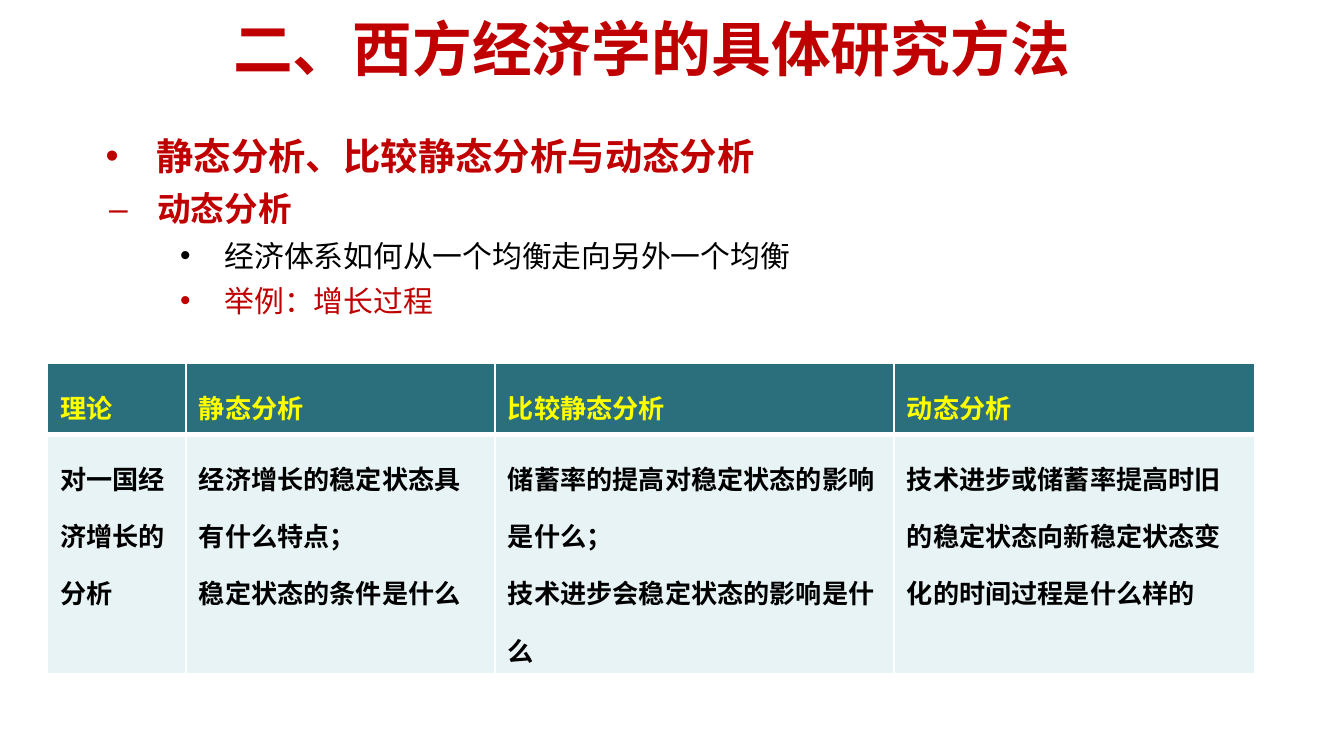
from dataclasses import dataclass

from lxml import etree
from pptx import Presentation
from pptx.dml.color import RGBColor
from pptx.enum.text import MSO_ANCHOR, MSO_AUTO_SIZE, PP_ALIGN
from pptx.oxml.ns import qn
from pptx.util import Cm, Pt

CENTER = PP_ALIGN.CENTER
MIDDLE = MSO_ANCHOR.MIDDLE
NO_AUTOFIT = MSO_AUTO_SIZE.NONE

RED = RGBColor(0xC0, 0x00, 0x00)
BLACK = RGBColor(0x00, 0x00, 0x00)
YELLOW = RGBColor(0xFF, 0xFF, 0x00)
WHITE = RGBColor(0xFF, 0xFF, 0xFF)
TEAL = RGBColor(0x2B, 0x6F, 0x7D)
PALE = RGBColor(0xE7, 0xF3, 0xF4)

CJK_FONT = "Noto Sans CJK SC"


@dataclass
class Bullet:
    text: str
    level: int
    size: int
    color: RGBColor
    bold: bool


@dataclass
class RowStyle:
    height: float
    fill: RGBColor
    color: RGBColor
    top_line: int
    bottom_line: int


BULLETS = [
    Bullet("静态分析、比较静态分析与动态分析", 0, 20, RED, True),
    Bullet("动态分析", 1, 18, RED, True),
    Bullet("经济体系如何从一个均衡走向另外一个均衡", 2, 16, BLACK, False),
    Bullet("举例：增长过程", 2, 16, RED, False),
]
# Left margin and hanging indent of each level, in cm
INDENTS = [(1.2, -0.96), (1.22, -0.91), (2.49, -0.84)]

COLUMN_WIDTHS = [2.62, 5.84, 7.54, 6.83]
ROW_STYLES = [
    RowStyle(1.35, TEAL, YELLOW, 1, 3),
    RowStyle(4.04, PALE, BLACK, 3, 1),
]
ROWS = [
    ["理论", "静态分析", "比较静态分析", "动态分析"],
    [
        "对一国经济增长的分析",
        "经济增长的稳定状态具有什么特点；\n稳定状态的条件是什么",
        "储蓄率的提高对稳定状态的影响是什么；\n技术进步会稳定状态的影响是什么",
        "技术进步或储蓄率提高时旧的稳定状态向新稳定状态变化的时间过程是什么样的",
    ],
]


def place(sp, left: float, top: float, width: float, height: float) -> None:
    sp.left, sp.top, sp.width, sp.height = map(Cm, (left, top, width, height))


def add_run(p, text: str, **formats) -> None:
    r = p.add_run()
    r.text = text
    color = formats.pop("color")
    for name, value in formats.items():
        setattr(r.font, name, value)
    r.font.color.rgb = color
    etree.SubElement(r.font._element, qn("a:ea"), typeface=CJK_FONT)


def fill_title(sp) -> None:
    place(sp, 0.89, 0, 22.86, 1.8)
    tf = sp.text_frame
    tf.auto_size, tf.vertical_anchor = NO_AUTOFIT, MIDDLE
    p = tf.paragraphs[0]
    p.alignment = CENTER
    add_run(p, "二、西方经济学的具体研究方法",
            size=Pt(32), name=CJK_FONT, bold=True, color=RED)


def fill_body(sp) -> None:
    place(sp, 1.5, 2.13, 22.86, 9.96)
    tf = sp.text_frame
    tf.auto_size = NO_AUTOFIT
    tf.margin_top = Cm(0.18)
    for i, item in enumerate(BULLETS):
        p = tf.add_paragraph() if i else tf.paragraphs[0]
        p.level, p.line_spacing, p.space_before = item.level, 1.25, Pt(0)
        margin, indent = INDENTS[item.level]
        pPr = p._p.get_or_add_pPr()
        pPr.set("marL", str(Cm(margin)))
        pPr.set("indent", str(Cm(indent)))
        add_run(p, item.text, size=Pt(item.size), name="Calibri",
                bold=item.bold, color=item.color)


def set_borders(cell, widths: dict[str, int]) -> None:
    tcPr = cell._tc.get_or_add_tcPr()
    for side, width in widths.items():
        ln = etree.SubElement(tcPr, qn(f"a:ln{side}"), w=str(Pt(width)))
        fill = etree.SubElement(ln, qn("a:solidFill"))
        etree.SubElement(fill, qn("a:srgbClr"), val=str(WHITE))


def fill_cell(cell, text: str, style: RowStyle) -> None:
    set_borders(cell, {"L": 1, "R": 1, "T": style.top_line, "B": style.bottom_line})
    cell.fill.solid()
    cell.fill.fore_color.rgb = style.fill
    cell.margin_left = cell.margin_right = Cm(0.25)
    cell.margin_top = cell.margin_bottom = Cm(0.1)
    tf = cell.text_frame
    for i, line in enumerate(text.split("\n")):
        p = tf.add_paragraph() if i else tf.paragraphs[0]
        p.line_spacing = 1.5
        add_run(p, line, size=Pt(14), name="Arial", bold=True, color=style.color)


def add_comparison_table(s) -> None:
    width, height = sum(COLUMN_WIDTHS), sum(style.height for style in ROW_STYLES)
    table = s.shapes.add_table(len(ROWS), len(COLUMN_WIDTHS), Cm(0.89), Cm(6.86),
                               Cm(width), Cm(height)).table
    for column, column_width in zip(table.columns, COLUMN_WIDTHS):
        column.width = Cm(column_width)
    for row, style, texts in zip(table.rows, ROW_STYLES, ROWS):
        row.height = Cm(style.height)
        for cell, text in zip(row.cells, texts):
            fill_cell(cell, text, style)


def main() -> None:
    prs = Presentation()
    prs.slide_width, prs.slide_height = Cm(25.4), Cm(14.28)
    s = prs.slides.add_slide(prs.slide_layouts[1])
    fill_title(s.shapes.title)
    fill_body(s.placeholders[1])
    add_comparison_table(s)
    prs.save("out.pptx")


if __name__ == "__main__":
    main()
